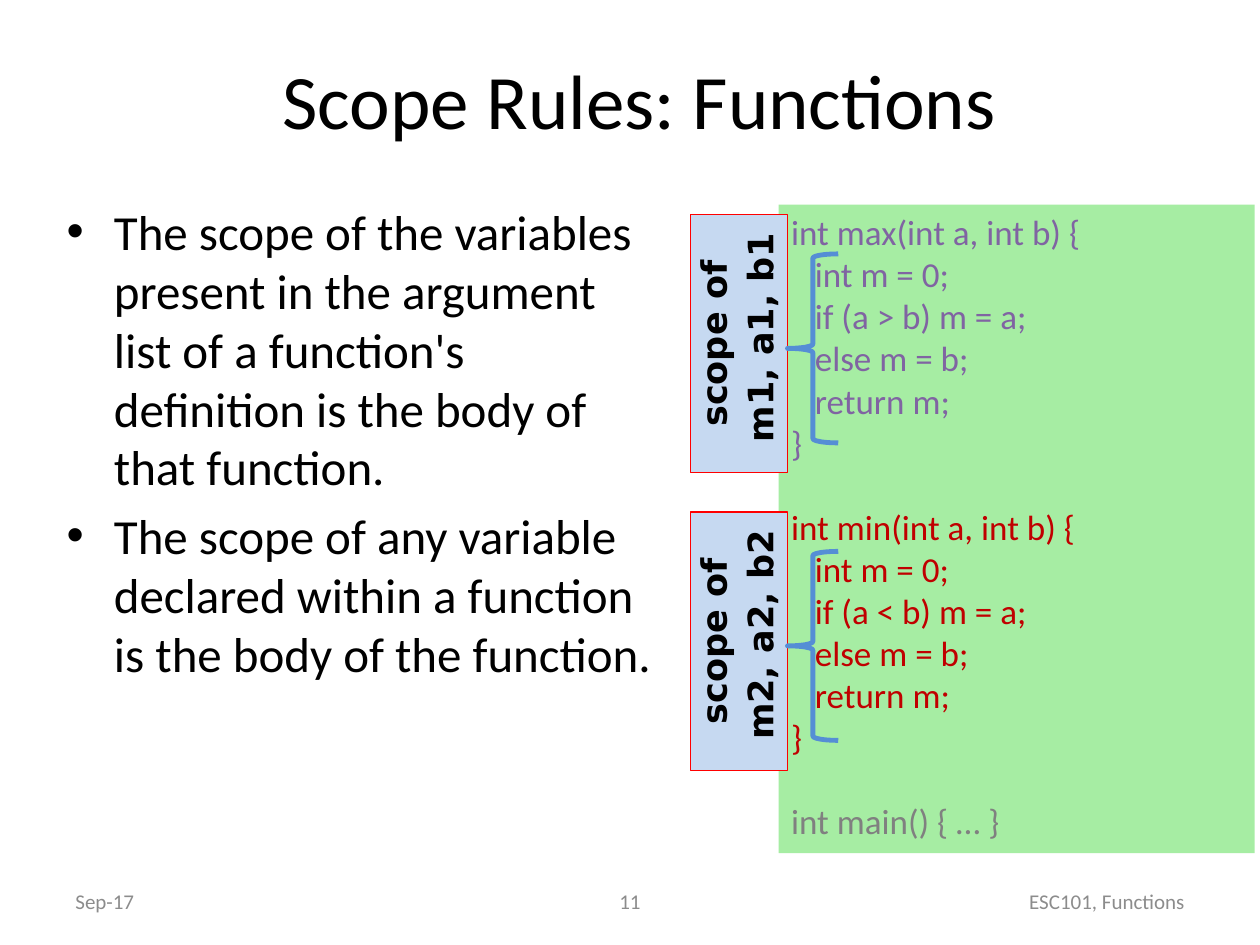
from dataclasses import dataclass

from lxml.etree import SubElement
from pptx import Presentation
from pptx.dml.color import RGBColor
from pptx.enum.shapes import MSO_SHAPE as Preset
from pptx.enum.text import MSO_ANCHOR as Anchor, PP_ALIGN as Align
from pptx.oxml.ns import qn
from pptx.util import Pt


@dataclass(frozen=True)
class Theme:
    """Fonts, type sizes and colours of the slide."""
    body_font: str = "Calibri"
    label_font: str = "DejaVu Sans"
    title_size: int = 44
    body_size: int = 28
    code_size: int = 20
    footer_size: int = 12
    ink: str = "000000"
    max_code: str = "8064A2"
    min_code: str = "C00000"
    main_code: str = "808080"
    code_fill: str = "A6EDA3"
    label_fill: str = "C6D9F1"
    label_line: str = "FF0000"
    brace: str = "558ED5"
    footer: str = "8C8C8C"


THEME = Theme()

RULES = [
    "The scope of the variables present in the argument list of a function's "
    "definition is the body of that function.",
    "The scope of any variable declared within a function is the body of the function.",
]


def function_lines(name, comparison):
    """Return the code lines of one comparison function."""
    return [f"int {name}(int a, int b) {{", "   int m = 0;",
            f"   if (a {comparison} b) m = a;", "   else m = b;",
            "   return m;", "}"]


CODE = [
    (function_lines("max", ">"), THEME.max_code),
    (function_lines("min", "<"), THEME.min_code),
    (["int main() { … }"], THEME.main_code),
]


def add_run(paragraph, text, size, color, font=THEME.body_font, bold=False):
    """Append one formatted run to a paragraph."""
    run = paragraph.add_run()
    run.text = text
    run.font.name, run.font.size, run.font.bold = font, Pt(size), bold
    run.font.color.rgb = RGBColor.from_string(color)


def add_paragraph(frame, position):
    """Return the paragraph at a position, adding it after the first."""
    return frame.add_paragraph() if position else frame.paragraphs[0]


def add_panel(shapes, preset, box, fill=None, line=None, width=0.75):
    """Add a preset shape with the given fill and outline."""
    panel = shapes.add_shape(preset, *map(Pt, box))
    panel.shadow.inherit = False
    if fill:
        panel.fill.solid()
        panel.fill.fore_color.rgb = RGBColor.from_string(fill)
    else:
        panel.fill.background()
    if line:
        panel.line.color.rgb = RGBColor.from_string(line)
        panel.line.width = Pt(width)
    else:
        panel.line.fill.background()
    return panel


def place_title(slide, box, text):
    """Move and format the title placeholder."""
    title = slide.shapes.title
    title.left, title.top, title.width, title.height = map(Pt, box)
    title.text_frame.vertical_anchor = Anchor.MIDDLE
    heading = title.text_frame.paragraphs[0]
    heading.alignment = Align.CENTER
    add_run(heading, text, THEME.title_size, THEME.ink)


def place_rules(slide, box, rules):
    """Write the scope rules as a bulleted list."""
    frame = slide.shapes.add_textbox(*map(Pt, box)).text_frame
    frame.word_wrap = True
    for position, rule in enumerate(rules):
        paragraph = add_paragraph(frame, position)
        properties = paragraph._p.get_or_add_pPr()
        properties.set("marL", str(Pt(27)))
        properties.set("indent", str(Pt(-27)))
        SubElement(properties, qn("a:buFont"), typeface="Arial")
        SubElement(properties, qn("a:buChar"), char="•")
        paragraph.space_before = Pt(5.6 if position else 0)
        add_run(paragraph, rule, THEME.body_size, THEME.ink)


def place_code(slide, box, functions):
    """Write the functions on a panel, one line height apart."""
    frame = add_panel(slide.shapes, Preset.RECTANGLE, box, THEME.code_fill).text_frame
    frame.word_wrap = True
    frame.vertical_anchor = Anchor.TOP
    position = 0
    for lines, color in functions:
        for number, line in enumerate(lines):
            paragraph = add_paragraph(frame, position)
            paragraph.alignment = Align.LEFT
            paragraph.space_before = Pt(24 if position and not number else 0)
            add_run(paragraph, line, THEME.code_size, color)
            position += 1


def place_scope(slide, box, variables):
    """Group an upright scope label with the brace on its right."""
    left, top, width, height = box
    label_width = 55.5
    brace_left = left + label_width
    group = slide.shapes.add_group_shape().shapes
    turned_box = (left + (label_width - height) / 2,
                  top + (height - label_width) / 2, height, label_width)
    label = add_panel(group, Preset.RECTANGLE, turned_box,
                      THEME.label_fill, THEME.label_line)
    label.rotation = 270
    frame = label.text_frame
    frame.word_wrap = True
    frame.vertical_anchor = Anchor.TOP
    for position, text in enumerate(["scope of", f" {variables}"]):
        paragraph = add_paragraph(frame, position)
        paragraph.alignment = Align.CENTER
        paragraph.line_spacing = 0.9
        paragraph.space_before = Pt(5 if position else 0)
        add_run(paragraph, text, THEME.code_size, THEME.ink, THEME.label_font, True)
    brace_box = (brace_left, top + 22.5, left + width - brace_left, 108)
    add_panel(group, Preset.LEFT_BRACE, brace_box, line=THEME.brace, width=2.75)


def place_footer(slide, box, date, number, course):
    """Write the date, slide number and course along the bottom."""
    left, top, width, height = box
    side, middle = 168, 228
    parts = [
        (date, left, side, Align.LEFT),
        (number, left + (width - middle) / 2, middle, Align.CENTER),
        (course, left + width - side, side, Align.RIGHT),
    ]
    for text, part_left, part_width, alignment in parts:
        part_box = (part_left, top, part_width, height)
        frame = slide.shapes.add_textbox(*map(Pt, part_box)).text_frame
        frame.word_wrap = True
        frame.vertical_anchor = Anchor.MIDDLE
        frame.paragraphs[0].alignment = alignment
        add_run(frame.paragraphs[0], text, THEME.footer_size, THEME.footer)


def main():
    """Build and save the slide."""
    deck = Presentation()
    deck.slide_width, deck.slide_height = Pt(720), Pt(540)
    slide = deck.slides.add_slide(deck.slide_layouts[5])
    place_title(slide, (31, 24, 669, 65), "Scope Rules: Functions")
    place_rules(slide, (31, 111.6, 351.4, 402.5), RULES)
    place_code(slide, (445, 117, 272, 370.5), CODE)
    for position, variables in enumerate(["m1, a1, b1", "m2, a2, b2"]):
        place_scope(slide, (394.5, 122.6 + 170 * position, 84.5, 147.6), variables)
    place_footer(slide, (36, 500.5, 648, 28.8), "Sep-17", "11", "ESC101, Functions")
    deck.save("out.pptx")


if __name__ == "__main__":
    main()
